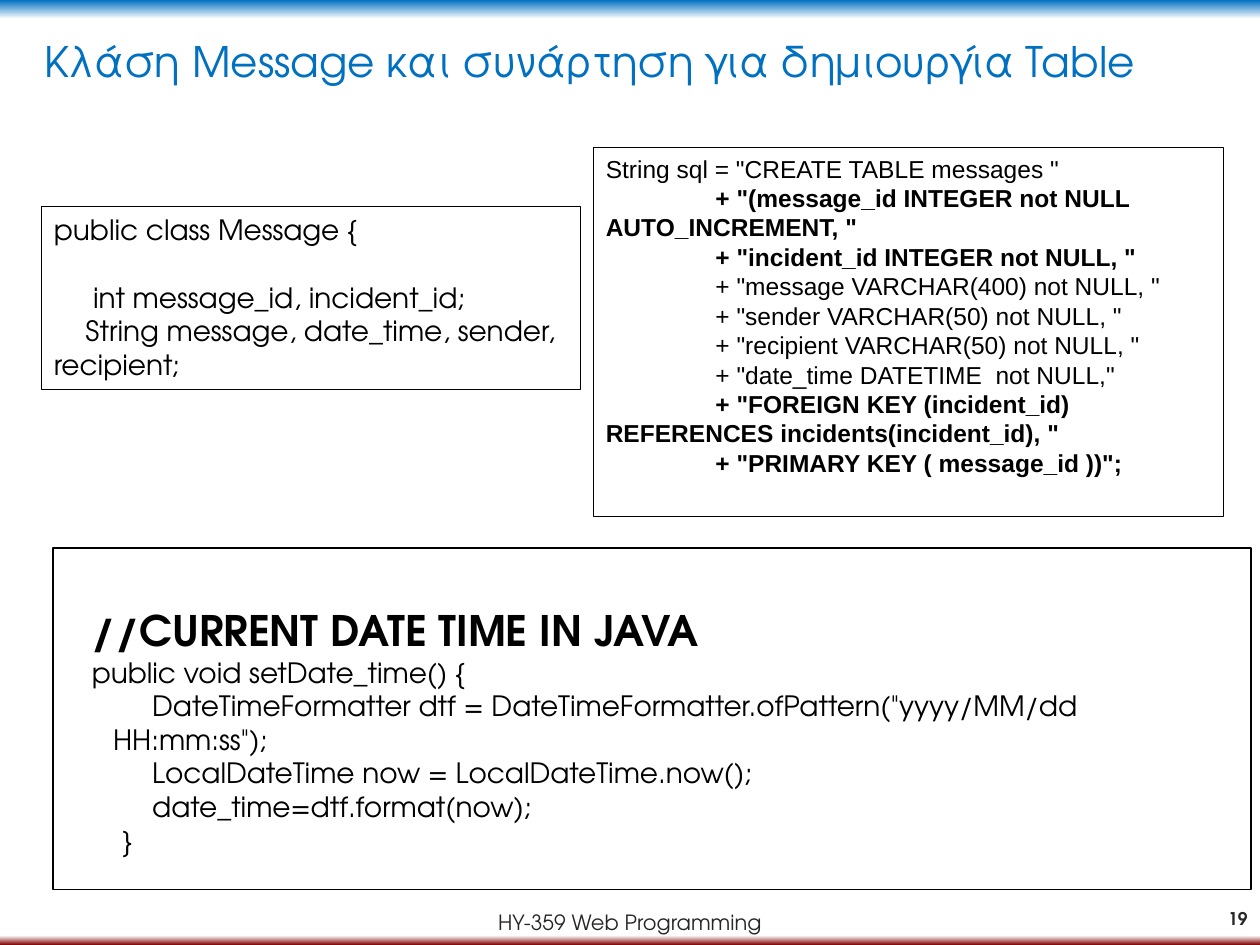
from lxml.etree import SubElement
from pptx import Presentation
from pptx.dml.color import RGBColor
from pptx.enum.shapes import MSO_SHAPE as Shape
from pptx.enum.text import MSO_ANCHOR as Anchor, MSO_AUTO_SIZE as AutoSize, PP_ALIGN as Align
from pptx.oxml.ns import qn
from pptx.util import Inches, Pt

COLORS = {"blue": "0070C0", "white": "FFFFFF", "maroon": "800000",
          "black": "000000", "footer": "262626"}
SANS, ARIAL = "TeX Gyre Adventor", "Arial"
COLUMNS, ROWS = 100, 75  # grid of the slide
SLIDE_WIDTH, SLIDE_HEIGHT = Inches(10), Inches(7.5)
BLANK_LINE = 1.2  # height of an empty line, in font sizes


def place(column, row, columns, rows):
    """Turn a box on the grid into left, top, width, height."""
    across, down = SLIDE_WIDTH / COLUMNS, SLIDE_HEIGHT / ROWS
    return [round(length) for length in
            (column * across, row * down, columns * across, rows * down)]


def rgb(name):
    return RGBColor.from_string(COLORS[name])


def format_runs(paragraph, size, color, font=SANS, bold=False):
    for run in paragraph.runs:
        run.font.name, run.font.size, run.font.bold = font, Pt(size), bold
        run.font.color.rgb = rgb(color)


def set_indent(paragraph, margin, first):
    """Set the left margin and the first-line offset, in inches."""
    properties = paragraph._p.get_or_add_pPr()
    properties.set("marL", str(Inches(margin)))
    properties.set("indent", str(Inches(first)))


def paint_background(slide):
    fill = slide.background.fill
    fill.gradient()
    fill.gradient_angle = 270
    stops = slide.background._cSld.find(".//" + qn("a:gsLst"))
    for stop in list(stops):
        stops.remove(stop)
    for percent, name in ((0, "blue"), (2, "white"), (99, "white"), (100, "maroon")):
        stop = SubElement(stops, qn("a:gs"), pos=str(percent * 1000))
        SubElement(stop, qn("a:srgbClr"), val=COLORS[name])


def add_title(slide, box, text):
    title = slide.shapes.title
    title.left, title.top, title.width, title.height = place(*box)
    frame = title.text_frame
    frame.text = text
    frame.vertical_anchor, frame.auto_size = Anchor.TOP, AutoSize.NONE
    frame.paragraphs[0].alignment = Align.LEFT
    format_runs(frame.paragraphs[0], 24, "blue")


def add_footer(slide, box, text, size, alignment, bold=False):
    frame = slide.shapes.add_textbox(*place(*box)).text_frame
    frame.word_wrap, frame.vertical_anchor = True, Anchor.MIDDLE
    frame.text = text
    frame.paragraphs[0].alignment = alignment
    format_runs(frame.paragraphs[0], size, "footer", bold=bold)


def add_code_box(slide, box, lines, size, font=SANS, margin=0, top_inset=0.05):
    """Add an outlined box; each line is (text, first-line offset, options)."""
    shape = slide.shapes.add_shape(Shape.RECTANGLE, *place(*box))
    shape.shadow.inherit = False
    shape.fill.background()
    shape.line.color.rgb, shape.line.width = rgb("black"), Pt(0.75)
    frame = shape.text_frame
    frame.word_wrap, frame.vertical_anchor = True, Anchor.TOP
    frame.margin_top = Inches(top_inset)
    frame.text = "\n".join(text for text, *_ in lines)
    for paragraph, (_, first, options) in zip(frame.paragraphs, lines):
        paragraph.alignment = Align.LEFT
        set_indent(paragraph, margin, first)
        if options.get("gap"):
            paragraph.space_before = Pt(size * BLANK_LINE)
        format_runs(paragraph, options.get("size", size), "black", font,
                    options.get("bold", False))


def add_message_class(slide, box):
    add_code_box(slide, box, [
        ("public class Message {", 0, {}),
        ("int message_id, incident_id;", 0.31, {"gap": True}),
        ("String message, date_time, sender, recipient;", 0.25, {}),
    ], size=16)


def add_table_query(slide, box):
    bold, plain, step = {"bold": True}, {}, 0.87
    add_code_box(slide, box, [
        ('String sql = "CREATE TABLE messages "', 0, plain),
        ('+ "(message_id INTEGER not NULL AUTO_INCREMENT, "', step, bold),
        ('+ "incident_id INTEGER not NULL, "', step, bold),
        ('+ "message VARCHAR(400) not NULL, "', step, plain),
        ('+ "sender VARCHAR(50) not NULL, "', step, plain),
        ('+ "recipient VARCHAR(50) not NULL, "', step, plain),
        ('+ "date_time DATETIME  not NULL,"', step, plain),
        ('+ "FOREIGN KEY (incident_id) REFERENCES incidents(incident_id), "', step, bold),
        ('+ "PRIMARY KEY ( message_id ))";', step, bold),
    ], size=14, font=ARIAL)


def add_date_method(slide, box):
    hanging, body = -0.17, 0.31
    add_code_box(slide, box, [
        ("//CURRENT DATE TIME IN JAVA", hanging, {"size": 24, "bold": True}),
        ("public void setDate_time() {", hanging, {}),
        ('DateTimeFormatter dtf = DateTimeFormatter.ofPattern("yyyy/MM/dd HH:mm:ss");',
         body, {}),
        ("LocalDateTime now = LocalDateTime.now();", body, {}),
        ("date_time=dtf.format(now);", body, {}),
        ("}", 0.07, {}),
    ], size=16, margin=0.38, top_inset=0.45)


def main():
    presentation = Presentation()
    presentation.slide_width, presentation.slide_height = SLIDE_WIDTH, SLIDE_HEIGHT
    slide = presentation.slides.add_slide(presentation.slide_layouts[5])
    paint_background(slide)

    # Footer and slide number
    add_footer(slide, (0, 70.9, 100, 4.5), "HY-359 Web Programming", 12, Align.CENTER)
    add_footer(slide, (94.6, 70.9, 5.4, 4), "19", 10, Align.RIGHT, bold=True)

    # Title and code boxes
    add_title(slide, (2.5, 2.3, 98.4, 7.1),
              "Κλάση Message και συνάρτηση για δημιουργία Table")
    add_date_method(slide, (4.2, 43.5, 95.1, 27.1))
    add_message_class(slide, (3.3, 16.4, 42.8, 14.5))
    add_table_query(slide, (47.1, 11.7, 50, 29.3))

    presentation.save("out.pptx")


if __name__ == "__main__":
    main()
